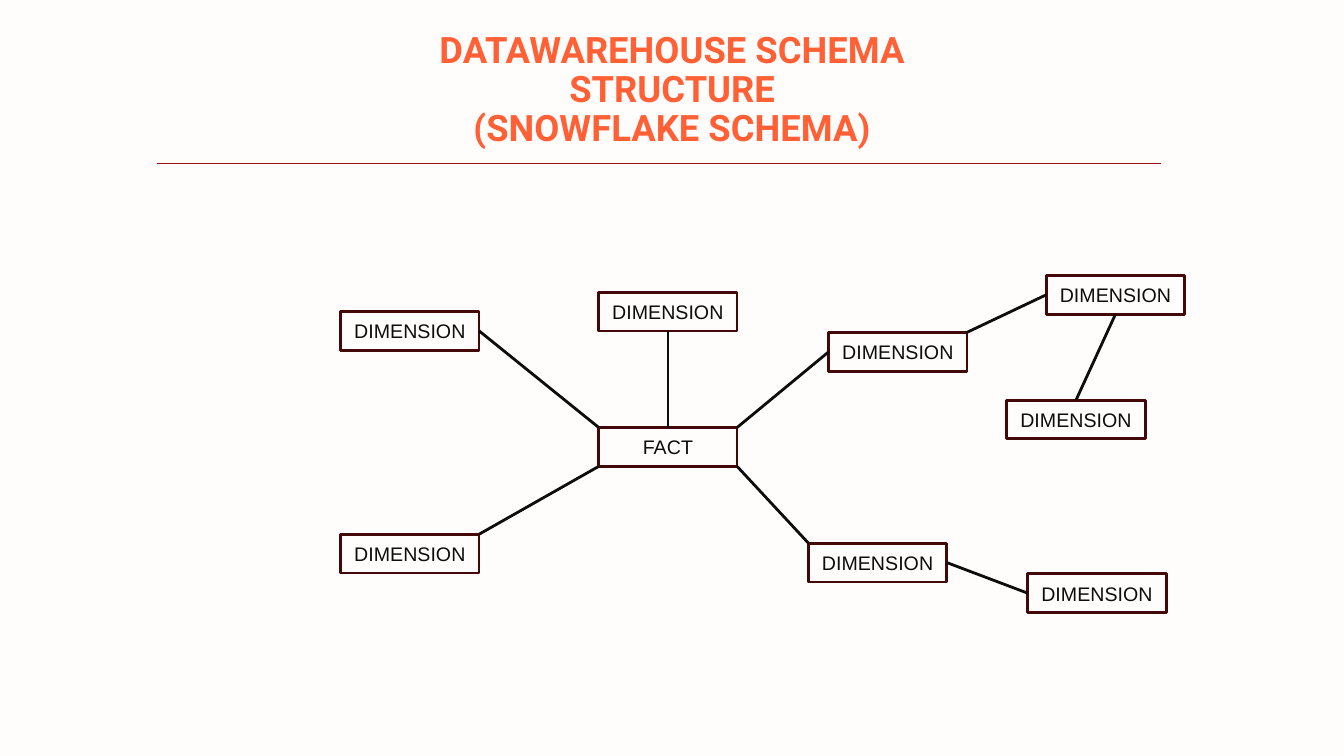
from lxml.etree import SubElement
from pptx import Presentation
from pptx.dml.color import RGBColor
from pptx.enum.shapes import MSO_CONNECTOR, MSO_SHAPE
from pptx.enum.text import MSO_ANCHOR, PP_ALIGN
from pptx.oxml.ns import qn
from pptx.util import Pt

BACKGROUND, ORANGE, MAROON, RED, INK = "FFFDFC", "FF6035", "430909", "991010", "0D0D0D"
TABLE_WIDTH, TABLE_HEIGHT = 98.8, 27.7

TABLES = {
    "fact": ("FACT", 427.7, 305.4),
    "top": ("DIMENSION", 427.7, 208.8),
    "upper left": ("DIMENSION", 243.4, 222.5),
    "lower left": ("DIMENSION", 243.4, 381.6),
    "upper right": ("DIMENSION", 592, 237.4),
    "lower right": ("DIMENSION", 577.5, 388),
    "outer upper": ("DIMENSION", 747.4, 196.7),
    "outer middle": ("DIMENSION", 719.2, 285.8),
    "outer lower": ("DIMENSION", 734.2, 409.9),
}

SIDES = {"top": 0, "left": 1, "bottom": 2, "right": 3}
ANCHORS = {
    "top": (0.5, 0), "left": (0, 0.5), "bottom": (0.5, 1), "right": (1, 0.5),
    "top left": (0, 0), "top right": (1, 0),
    "bottom left": (0, 1), "bottom right": (1, 1),
}

RELATIONS = [
    ("upper left", "right", "fact", "top left"),
    ("fact", "bottom left", "lower left", "top right"),
    ("fact", "top right", "upper right", "left"),
    ("top", "bottom", "fact", "top"),
    ("upper right", "top right", "outer upper", "left"),
    ("outer upper", "bottom", "outer middle", "top"),
    ("fact", "bottom right", "lower right", "top left"),
    ("lower right", "right", "outer lower", "left"),
]


def colour(code):
    """Turn a hex string into a colour."""
    return RGBColor.from_string(code)


def write(frame, text, size, ink, font="Arial", bold=False, spacing=1.0):
    """Put centred, formatted text in a text frame."""
    frame.word_wrap = True
    frame.vertical_anchor = MSO_ANCHOR.MIDDLE
    paragraph = frame.paragraphs[0]
    paragraph.text = text
    paragraph.alignment = PP_ALIGN.CENTER
    paragraph.line_spacing = spacing
    for run in paragraph.runs:
        run.font.name = font
        run.font.size = Pt(size)
        run.font.bold = bold
        run.font.color.rgb = colour(ink)


def add_title(slide, text):
    """Add the slide heading."""
    frame = slide.shapes.add_textbox(Pt(259.2), Pt(37.4), Pt(442), Pt(54.7)).text_frame
    frame.margin_left = frame.margin_top = frame.margin_right = frame.margin_bottom = 0
    write(frame, text, 26, ORANGE, font="Roboto", bold=True, spacing=0.9)


def add_schema_table(slide, label, left, top):
    """Add one outlined table of the schema."""
    table = slide.shapes.add_shape(
        MSO_SHAPE.RECTANGLE, Pt(left), Pt(top), Pt(TABLE_WIDTH), Pt(TABLE_HEIGHT))
    table.shadow.inherit = False
    table.fill.background()
    table.line.color.rgb = colour(MAROON)
    table.line.width = Pt(2)
    write(table.text_frame, label, 14, INK)
    return table


def add_line(slide, start, end, ink, width):
    """Draw a straight line between two points."""
    line = slide.shapes.add_connector(
        MSO_CONNECTOR.STRAIGHT, *(Pt(length) for length in (*start, *end)))
    line.line.color.rgb = colour(ink)
    line.line.width = Pt(width)
    SubElement(line._element.spPr, qn("a:effectLst"))
    return line


def anchor_point(table_name, anchor):
    """Find the place of an anchor on a table's outline."""
    _, left, top = TABLES[table_name]
    across, down = ANCHORS[anchor]
    return left + across * TABLE_WIDTH, top + down * TABLE_HEIGHT


def add_relation(slide, tables, source, source_anchor, target, target_anchor):
    """Link two tables, joining the ends that meet the middle of a side."""
    relation = add_line(slide, anchor_point(source, source_anchor),
                        anchor_point(target, target_anchor), INK, 2)
    if source_anchor in SIDES:
        relation.begin_connect(tables[source], SIDES[source_anchor])
    if target_anchor in SIDES:
        relation.end_connect(tables[target], SIDES[target_anchor])


def main():
    """Build the snowflake schema slide."""
    deck = Presentation()
    deck.slide_width, deck.slide_height = Pt(960), Pt(540)
    slide = deck.slides.add_slide(deck.slide_layouts[6])
    slide.background.fill.solid()
    slide.background.fill.fore_color.rgb = colour(BACKGROUND)

    add_title(slide, "DATAWAREHOUSE SCHEMA STRUCTURE\n(SNOWFLAKE SCHEMA)")
    tables = {name: add_schema_table(slide, *table) for name, table in TABLES.items()}
    for relation in RELATIONS:
        add_relation(slide, tables, *relation)
    add_line(slide, (111.9, 116.6), (829.4, 116.6), RED, 0.75)
    deck.save("out.pptx")


if __name__ == "__main__":
    main()
